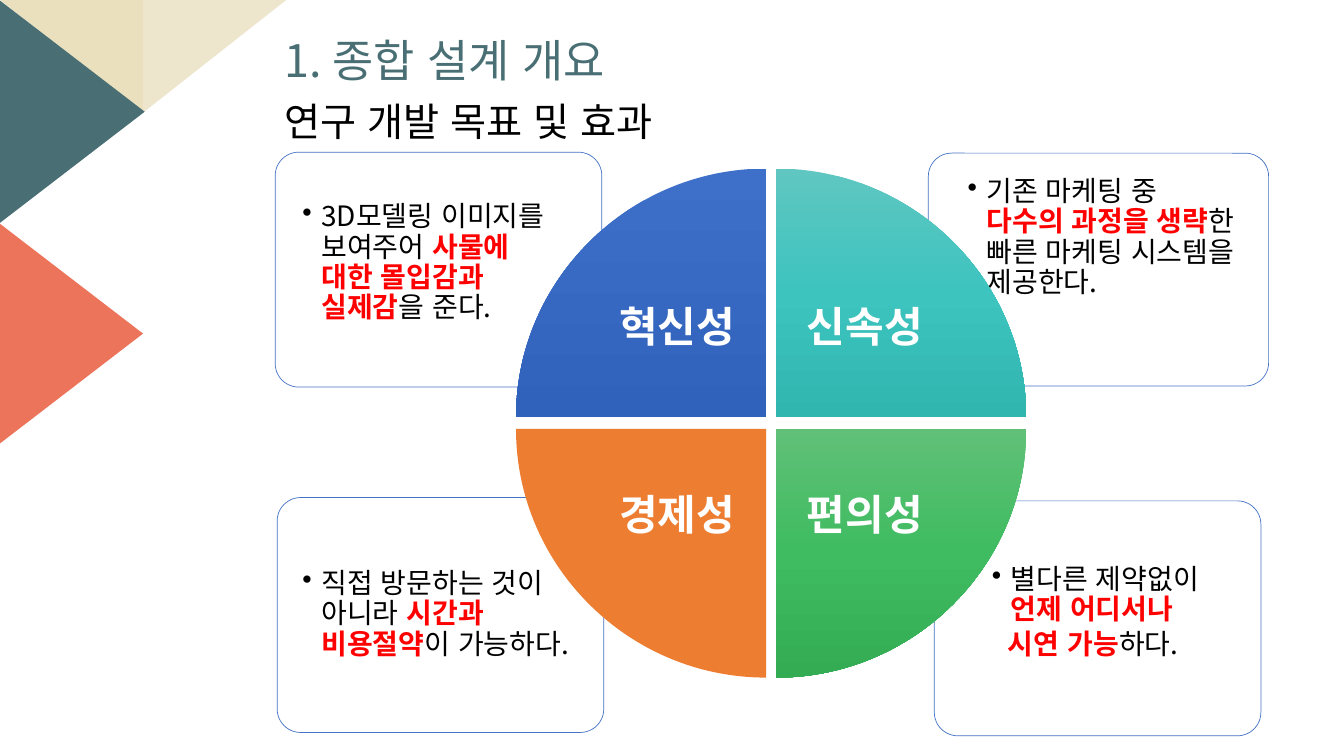
from lxml import etree
from pptx import Presentation
from pptx.dml.color import RGBColor
from pptx.enum import shapes, text
from pptx.oxml.ns import qn
from pptx.util import Pt

FONT = "Noto Sans CJK KR"
COLORS = {"teal": "496F74", "coral": "EC745B", "sand": "EAE0BE", "cream": "EEE6CC",
          "black": "000000", "red": "FF0000", "white": "FFFFFF", "outline": "4472C4"}


def add_run(para, words, size, color, bold=False):
    span = para.add_run()
    span.text = words
    span.font.size = Pt(size)
    span.font.bold = bold
    span.font.name = FONT
    span.font.color.rgb = RGBColor.from_string(COLORS[color])
    props = span.font._element
    props.set("lang", "ko-KR")
    props.set("kern", "0")
    etree.SubElement(props, qn("a:ea")).set("typeface", FONT)


def set_frame(frame, anchor, insets):
    """Insets run left, top, right, bottom."""
    frame.word_wrap = True
    frame.vertical_anchor = anchor
    (frame.margin_left, frame.margin_top,
     frame.margin_right, frame.margin_bottom) = map(Pt, insets)


deck = Presentation()
deck.slide_width, deck.slide_height = Pt(960), Pt(540)
page = deck.slides.add_slide(deck.slide_layouts[5])
kinds = shapes.MSO_SHAPE

# Corner triangles
for kind, place, turn, mirrored, color in [
    (kinds.RIGHT_TRIANGLE, (0, 0, 102.2, 80.4), 180, False, "sand"),
    (kinds.RIGHT_TRIANGLE, (102.2, 0, 102.2, 80.4), 180, True, "cream"),
    (kinds.ISOSCELES_TRIANGLE, (-28, 28, 159.1, 103.6), 90, False, "teal"),
    (kinds.ISOSCELES_TRIANGLE, (-29.2, 186.5, 159.1, 103.6), 90, False, "coral"),
]:
    corner = page.shapes.add_shape(kind, *map(Pt, place))
    corner.rotation = turn
    if mirrored:
        corner._element.spPr.xfrm.set("flipH", "1")
    corner.shadow.inherit = False
    corner.fill.solid()
    corner.fill.fore_color.rgb = RGBColor.from_string(COLORS[color])
    corner.line.fill.background()

# Title and subtitle
title = page.shapes.title
title.left, title.top, title.width, title.height = map(Pt, (196.2, 23.8, 436.3, 42.5))
subtitle = page.shapes.add_textbox(*map(Pt, (196.2, 66.2, 329, 41)))
for box, words, size, color, spacing in [
    (title, "1. 종합 설계 개요", 32, "teal", 0.9),
    (subtitle, "연구 개발 목표 및 효과", 28, "black", 1),
]:
    set_frame(box.text_frame, text.MSO_ANCHOR.MIDDLE, (7.2, 3.6, 7.2, 3.6))
    para = box.text_frame.paragraphs[0]
    para.alignment = text.PP_ALIGN.LEFT
    para.line_spacing = spacing
    add_run(para, words, size, color)

# Callout frames
for place in [(667.4, 357.8, 233.3, 167.8), (663.1, 109.4, 243.1, 166.3),
              (198, 355.4, 233.3, 167.8), (196.6, 108.7, 233.3, 167.8)]:
    callout = page.shapes.add_shape(kinds.ROUNDED_RECTANGLE, *map(Pt, place))
    callout.adjustments[0] = 0.1
    callout.shadow.inherit = False
    callout.fill.solid()
    callout.fill.fore_color.rgb = RGBColor.from_string(COLORS["white"])
    tint = callout._element.spPr.find(".//" + qn("a:srgbClr"))
    etree.SubElement(tint, qn("a:alpha")).set("val", "90000")
    callout.line.color.rgb = RGBColor.from_string(COLORS["outline"])
    callout.line.width = Pt(0.5)

# Callout texts: place, bottom inset, paragraphs of (words, highlighted)
for place, bottom, paragraphs in [
    ((684.7, 96.5, 226.1, 147.6), 31,
     [[("기존 마케팅 중\v", False), ("다수의 과정을 생략", True),
       ("한 빠른 마케팅 시스템을 제공한다.", False)]]),
    ((209.5, 150.5, 191.5, 87.1), 6.5,
     [[("3D모델링 이미지를 보여주어 ", False), ("사물에 대한 몰입감과 실제감", True),
       ("을 준다.", False)]]),
    ((209.5, 394.6, 206.6, 83.5), 6.5,
     [[("직접 방문하는 것이 아니라 ", False), ("시간과 비용절약", True),
       ("이 가능하다.", False)]]),
    ((702, 391, 191.5, 87.1), 6.5,
     [[("별다른 제약없이 ", False), ("언제 어디서나", True)],
      [("시연 가능", True), ("하다.", False)]]),
]:
    box = page.shapes.add_textbox(*map(Pt, place))
    set_frame(box.text_frame, text.MSO_ANCHOR.BOTTOM, (6.5, 6.5, 6.5, bottom))
    for index, spans in enumerate(paragraphs):
        para = box.text_frame.paragraphs[0] if index == 0 else box.text_frame.add_paragraph()
        para.line_spacing = 0.9
        para.space_after = Pt(3)
        props = para._p.get_or_add_pPr()
        props.set("marL", str(Pt(13.5 if index == 0 else 11.5)))
        if index == 0:
            props.set("indent", str(Pt(-13.5)))
            etree.SubElement(props, qn("a:buChar")).set("char", "•")
        for words, highlighted in spans:
            lead, broken, _ = words.partition("\v")
            add_run(para, lead, 20, "red" if highlighted else "black", highlighted)
            if broken:
                para.add_line_break()

# Quarters of the circle: label, horizontal and vertical side, gradient colours
WIDTH, HEIGHT = 178.6, 177.6
INNER, OUTER = 16.6, 68.4
BEND = 0.55  # handle length of a quarter arc, as a share of the radius
for label, across, down, stops in [
    ("혁신성", -1, -1, ["3E70CA", "3062BB"]),
    ("신속성", 1, -1, ["60C6C1", "3DC4BF", "30B5AF"]),
    ("편의성", 1, 1, ["60C077", "3FBC61", "33AC54"]),
    ("경제성", -1, 1, ["ED7D31"]),
]:
    x, y = 550.8 + across * 3.6, 302.2 + down * 4.2
    side, tip = x + across * WIDTH, y + down * HEIGHT
    outline = page.shapes.build_freeform(Pt(side), Pt(y))
    outline.add_line_segments([(Pt(x), Pt(tip)), (Pt(x), Pt(y))], close=True)
    quarter = outline.convert_to_shape()
    # Bend the first segment into an arc
    segment = quarter._element.spPr.find(".//" + qn("a:lnTo"))
    arc = etree.Element(qn("a:cubicBezTo"))
    for arc_x, arc_y in [(side, y + down * HEIGHT * BEND),
                         (x + across * WIDTH * BEND, tip), (x, tip)]:
        point = etree.SubElement(arc, qn("a:pt"))
        point.set("x", str(Pt(arc_x) - quarter.left))
        point.set("y", str(Pt(arc_y) - quarter.top))
    segment.getparent().replace(segment, arc)

    quarter.shadow.inherit = False
    quarter.line.fill.background()
    if len(stops) == 1:
        quarter.fill.solid()
        quarter.fill.fore_color.rgb = RGBColor.from_string(stops[0])
    else:
        quarter.fill.gradient()
        quarter.fill.gradient_angle = 270
        stop_list = quarter._element.spPr.find(".//" + qn("a:gsLst"))
        for old_stop in list(stop_list):
            stop_list.remove(old_stop)
        for index, color in enumerate(stops):
            stop = etree.SubElement(stop_list, qn("a:gs"))
            stop.set("pos", str(100000 * index // (len(stops) - 1)))
            etree.SubElement(stop, qn("a:srgbClr")).set("val", color)
    left, right = (OUTER, INNER) if across < 0 else (INNER, OUTER)
    top, bottom = (OUTER, INNER) if down < 0 else (INNER, OUTER)
    set_frame(quarter.text_frame, text.MSO_ANCHOR.MIDDLE, (left, top, right, bottom))
    para = quarter.text_frame.paragraphs[0]
    para.alignment = text.PP_ALIGN.CENTER
    para.line_spacing = 0.9
    add_run(para, label, 30, "white", True)

deck.save("out.pptx")
